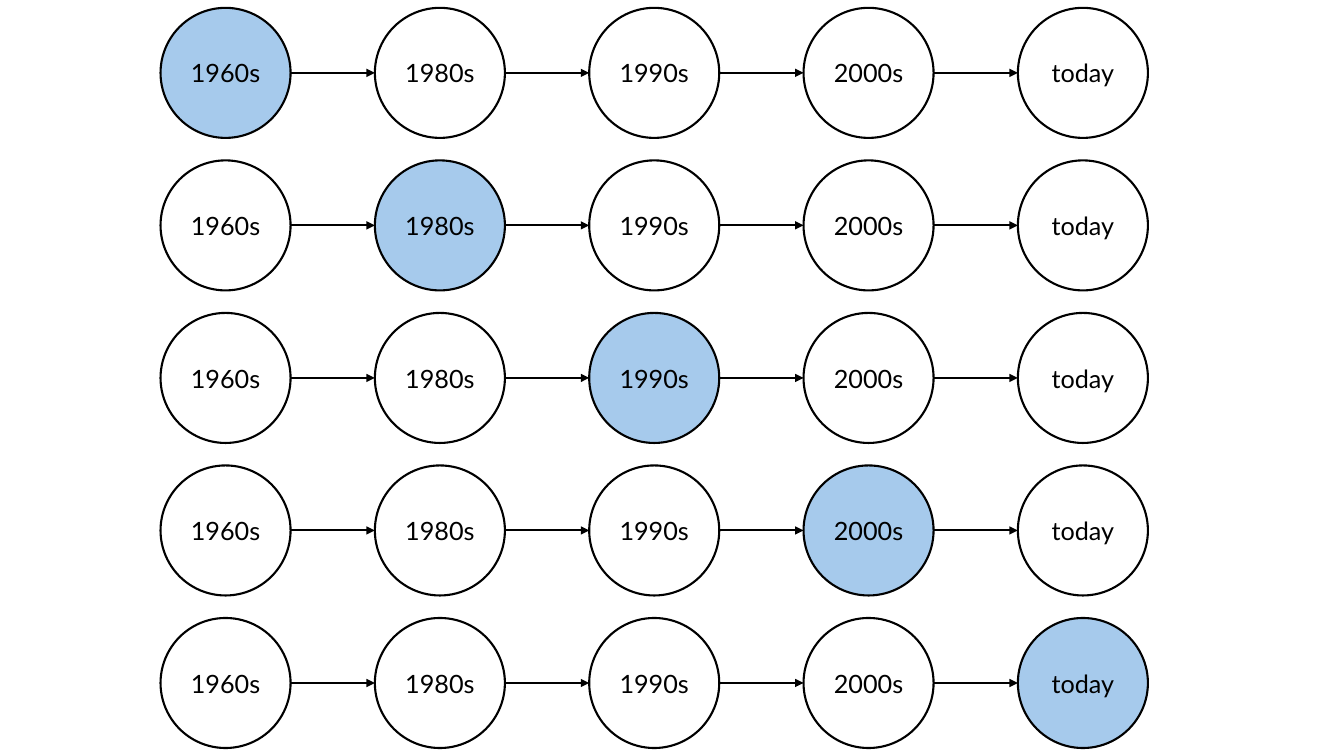
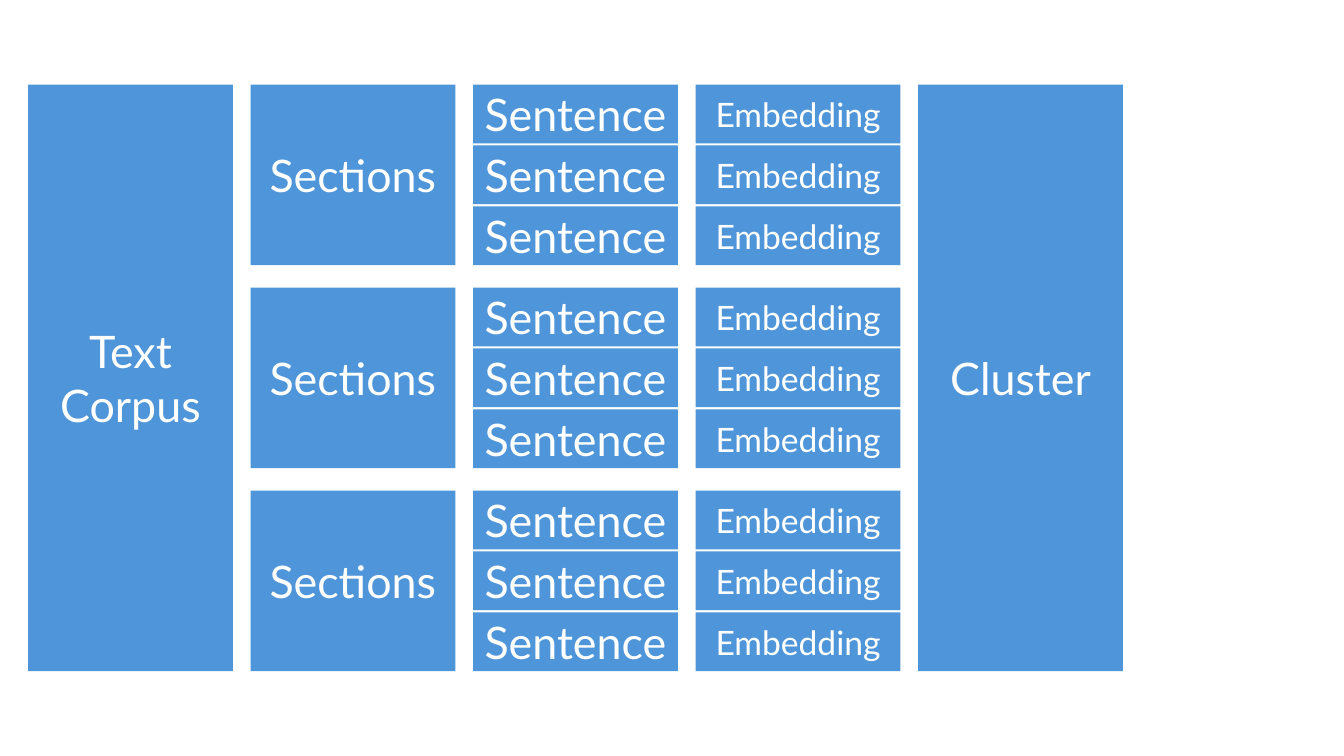
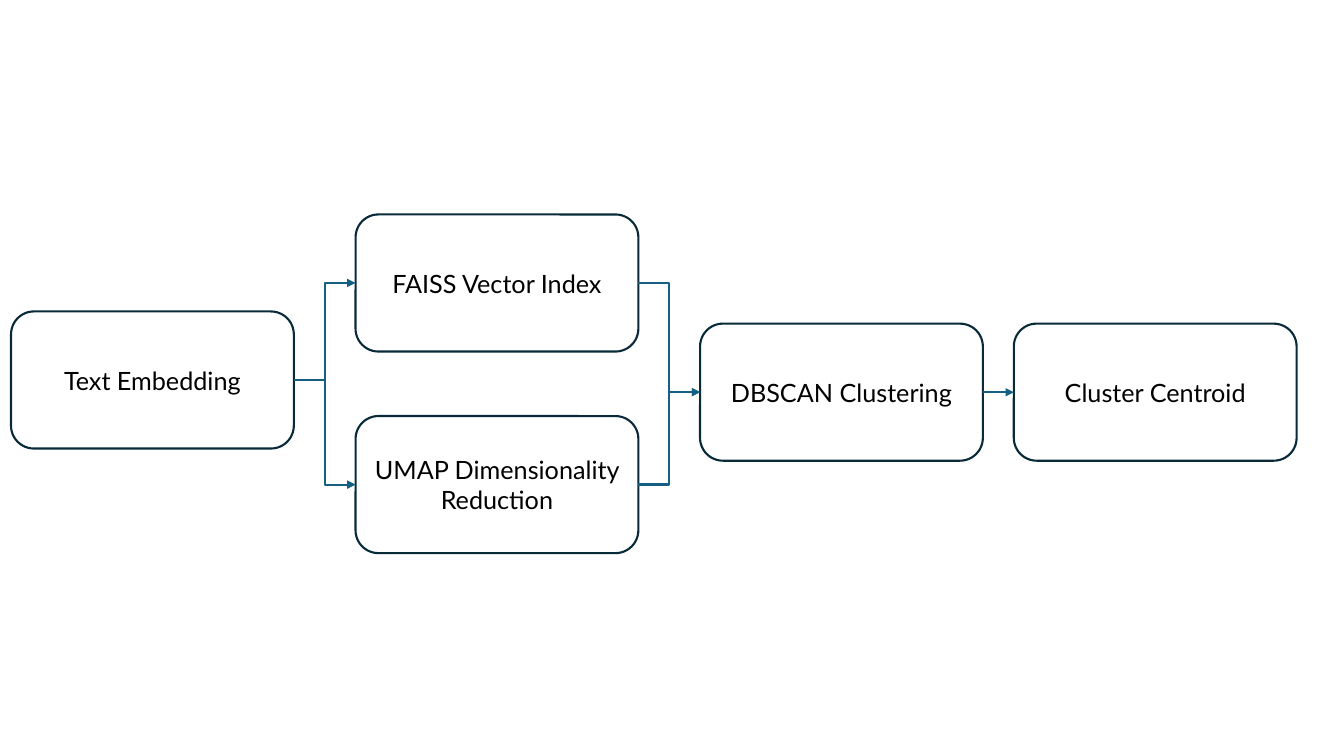
from dataclasses import dataclass, replace
from typing import Optional

from lxml.etree import SubElement
from pptx import Presentation
from pptx.dml.color import RGBColor
from pptx.enum.shapes import MSO_CONNECTOR, MSO_SHAPE
from pptx.enum.text import MSO_ANCHOR, PP_ALIGN
from pptx.oxml.ns import qn
from pptx.shapes.autoshape import Shape
from pptx.shapes.connector import Connector
from pptx.slide import Slide
from pptx.util import Pt

COLORS = {
    "black": "000000",
    "white": "FFFFFF",
    "highlight": "A6CAEC",
    "block": "4E95D9",
    "outline": "092A39",
    "arrow": "156082",
}
FONT = "Lato"
LINE_WIDTH = 1.5
BLANK_LAYOUT = 6
RIGHT_SIDE, LEFT_SIDE = 3, 1


@dataclass(frozen=True)
class Style:
    shape: MSO_SHAPE
    fill: Optional[str]
    line: Optional[str]
    ink: str
    size: float


@dataclass(frozen=True)
class Box:
    text: str
    left: float
    top: float
    width: float
    height: float

    @property
    def right(self) -> float:
        return self.left + self.width

    @property
    def middle(self) -> float:
        return self.top + self.height / 2


DECADE = Style(MSO_SHAPE.OVAL, None, "black", "black", 18)
CURRENT_DECADE = replace(DECADE, fill="highlight")
BLOCK = Style(MSO_SHAPE.RECTANGLE, "block", None, "white", 32)
SMALL_BLOCK = replace(BLOCK, size=24)
STEP = Style(MSO_SHAPE.ROUNDED_RECTANGLE, None, "outline", "black", 18)


def color(name: str) -> RGBColor:
    return RGBColor.from_string(COLORS[name])


def draw_box(page: Slide, box: Box, style: Style) -> Shape:
    shape = page.shapes.add_shape(
        style.shape, Pt(box.left), Pt(box.top), Pt(box.width), Pt(box.height)
    )
    shape.shadow.inherit = False
    if style.fill:
        shape.fill.solid()
        shape.fill.fore_color.rgb = color(style.fill)
    else:
        shape.fill.background()
    if style.line:
        shape.line.color.rgb = color(style.line)
        shape.line.width = Pt(LINE_WIDTH)
    else:
        shape.line.fill.background()
    frame = shape.text_frame
    frame.text = box.text
    frame.word_wrap = True
    frame.vertical_anchor = MSO_ANCHOR.MIDDLE
    para = frame.paragraphs[0]
    para.alignment = PP_ALIGN.CENTER
    for span in para.runs:
        span.font.name = FONT
        span.font.size = Pt(style.size)
        span.font.color.rgb = color(style.ink)
    return shape


def draw_arrow(page: Slide, source: Box, target: Box, line: str) -> Connector:
    level = source.middle == target.middle
    kind = MSO_CONNECTOR.STRAIGHT if level else MSO_CONNECTOR.ELBOW
    arrow = page.shapes.add_connector(
        kind, Pt(source.right), Pt(source.middle), Pt(target.left), Pt(target.middle)
    )
    arrow.line.color.rgb = color(line)
    arrow.line.width = Pt(LINE_WIDTH)
    properties = arrow.element.spPr
    SubElement(properties.find(qn("a:ln")), qn("a:tailEnd"), type="triangle")
    SubElement(properties, qn("a:effectLst"))
    return arrow


def draw_timelines(page: Slide) -> None:
    decades = ["1960s", "1980s", "1990s", "2000s", "today"]
    left, top, diameter = 114.65, 5.6, 92.9
    column_pitch, row_pitch = 153.1, 108.95
    for row in range(len(decades)):
        circles = [
            Box(text, left + column * column_pitch, top + row * row_pitch, diameter, diameter)
            for column, text in enumerate(decades)
        ]
        for column, circle in enumerate(circles):
            draw_box(page, circle, CURRENT_DECADE if column == row else DECADE)
        for source, target in zip(circles, circles[1:]):
            draw_arrow(page, source, target, "black")


def draw_hierarchy(page: Slide) -> None:
    top, width = 60.4, 146.2
    section_height, section_pitch = 129, 145
    sentence_height, sentence_pitch = 42, 43.5
    whole_height = 2 * section_pitch + section_height
    section_tops = [top + index * section_pitch for index in range(3)]
    sentence_tops = [
        section_top + index * sentence_pitch
        for section_top in section_tops
        for index in range(3)
    ]
    columns = [
        ("Text Corpus", [top], whole_height, BLOCK),
        ("Sections", section_tops, section_height, BLOCK),
        ("Sentence", sentence_tops, sentence_height, BLOCK),
        ("Embedding", sentence_tops, sentence_height, SMALL_BLOCK),
        ("Cluster", [top], whole_height, BLOCK),
    ]
    for column, (text, tops, height, style) in enumerate(columns):
        left = 20.1 + column * 158.95
        for block_top in tops:
            draw_box(page, Box(text, left, block_top, width, height), style)


def draw_pipeline(page: Slide) -> None:
    width, height = 202, 97.9
    embedding = Box("Text Embedding", 7.9, 222.5, width, height)
    index = Box("FAISS Vector Index", 254, 153.2, width, height)
    reduction = Box("UMAP Dimensionality Reduction", 254, 297.2, width, height)
    clustering = Box("DBSCAN Clustering", 500.1, 231.2, width, height)
    centroid = Box("Cluster Centroid", 724.2, 231.2, width, height)
    shapes = {
        box: draw_box(page, box, STEP)
        for box in (embedding, index, reduction, clustering, centroid)
    }
    for source, target in (
        (embedding, index),
        (embedding, reduction),
        (index, clustering),
        (reduction, clustering),
        (clustering, centroid),
    ):
        arrow = draw_arrow(page, source, target, "arrow")
        arrow.begin_connect(shapes[source], RIGHT_SIDE)
        arrow.end_connect(shapes[target], LEFT_SIDE)


def main() -> None:
    deck = Presentation()
    deck.slide_width = Pt(960)
    deck.slide_height = Pt(540)
    for draw_page in (draw_timelines, draw_hierarchy, draw_pipeline):
        draw_page(deck.slides.add_slide(deck.slide_layouts[BLANK_LAYOUT]))
    deck.save("out.pptx")


if __name__ == "__main__":
    main()
